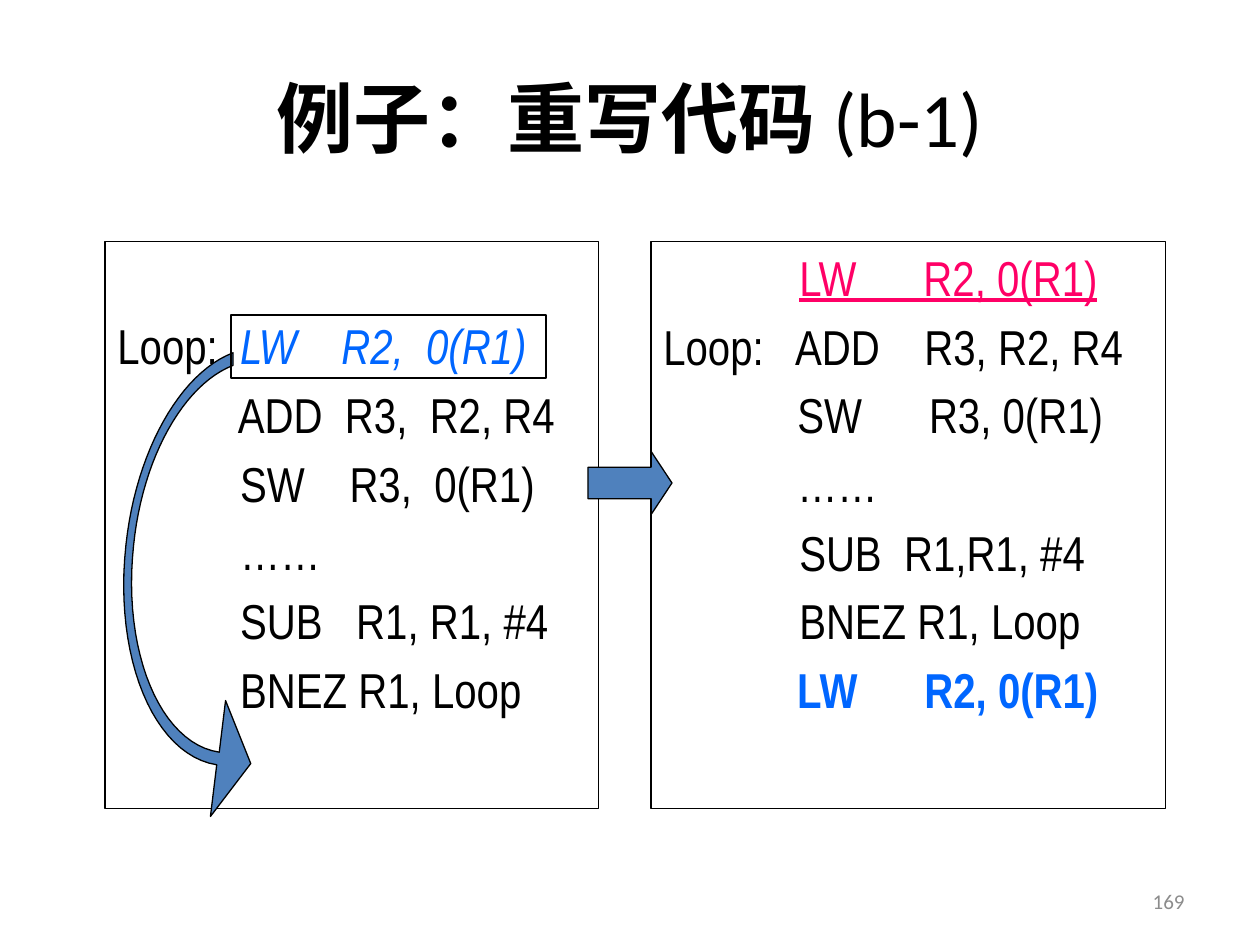
from lxml.etree import SubElement
from pptx import Presentation
from pptx.dml.color import RGBColor
from pptx.enum.shapes import MSO_SHAPE
from pptx.enum.text import MSO_ANCHOR, PP_ALIGN
from pptx.oxml.ns import qn
from pptx.util import Inches, Pt

deck = Presentation()
deck.slide_width, deck.slide_height = Inches(10), Inches(7.5)
page = deck.slides.add_slide(deck.slide_layouts[6])

# Grid of 120 columns by 90 rows
CELL = deck.slide_width / 120
BLACK, BLUE, PINK, STEEL, GREY = "000000", "0066FF", "FF0066", "4F81BD", "8C8C8C"


def color(value):
    return RGBColor.from_string(value)


def fill_text(box, lines, base, align, anchor, hanging=0):
    """Write lines of (text, format) spans over a base format."""
    frame = box.text_frame
    frame.word_wrap = True
    frame.vertical_anchor = anchor
    for row, spans in enumerate(lines):
        para = frame.paragraphs[0] if row == 0 else frame.add_paragraph()
        para.alignment = align
        para.space_before = Pt(5.6 if row else 0)
        if hanging:
            properties = para._p.get_or_add_pPr()
            properties.set("marL", str(hanging))
            properties.set("indent", str(-hanging))
        for text, changes in spans:
            span = para.add_run()
            span.text = text
            for name, value in {**base, **changes}.items():
                if name == "color":
                    span.font.color.rgb = color(value)
                else:
                    setattr(span.font, name, value)


# Title and page number
labels = [
    ((6, 3.6, 108, 15), [("例子：重写代码", {"bold": True}), (" (b-1)", {})],
     {"size": Pt(44), "color": BLACK}, PP_ALIGN.CENTER),
    ((86, 83.4, 28, 4.8), [("169", {})],
     {"size": Pt(12), "color": GREY}, PP_ALIGN.RIGHT),
]
for place, spans, base, align in labels:
    box = page.shapes.add_textbox(*(int(n * CELL) for n in place))
    fill_text(box, [spans], {"name": "Calibri", **base}, align, MSO_ANCHOR.MIDDLE)

# Rectangles and the arrow between the two code panels
shapes = {}
for name, kind, place, fill in [
    ("before", MSO_SHAPE.RECTANGLE, (10, 23, 47, 54), None),
    ("after", MSO_SHAPE.RECTANGLE, (62, 23, 49, 54), None),
    ("step", MSO_SHAPE.RIGHT_ARROW, (56, 43, 8, 6), STEEL),
    ("moved", MSO_SHAPE.RECTANGLE, (22, 30, 30, 6), None),
]:
    shapes[name] = page.shapes.add_shape(kind, *(int(n * CELL) for n in place))
    if fill:
        shapes[name].fill.solid()
        shapes[name].fill.fore_color.rgb = color(fill)
    else:
        shapes[name].fill.background()
shapes["step"].adjustments[1] = 0.33

# Code in the panels; the left one starts one line lower
wide = {"name": "Arial"}
before_code = [
    [("Loop:  ", {}), ("LW    R2,  0(R1)", {"color": BLUE, "italic": True})],
    [("           ADD  R3,  R2, R4", {})],
    [("           SW    R3,  0(R1)", {})],
    [("           ……", {})],
    [("           SUB   R1, R1, #4", {})],
    [("           BNEZ R1, Loop", {})],
]
after_code = [
    [("          ", wide), ("LW      R2, 0(R1)", {"color": PINK, "underline": True})],
    [("Loop:   ADD    R3, R2, R4", {})],
    [("            SW      R3, 0(R1)", {})],
    [("            ……", {})],
    [("          ", wide), ("SUB  R1,R1, #4", {})],
    [("          ", wide), ("BNEZ R1, Loop", {})],
    [("            ", {}), ("LW      R2, 0(R1)", {"color": BLUE, "bold": True})],
]
code_format = {"name": "Arial Narrow", "size": Pt(28), "color": BLACK}
for name, code in [("before", before_code), ("after", after_code)]:
    fill_text(shapes[name], code, code_format, PP_ALIGN.LEFT, MSO_ANCHOR.TOP, Inches(0.38))
shapes["before"].text_frame.margin_top = Inches(0.59)

# Curved arrow: each entry is one end point, or two handles and an end point
outline = [
    [(1.74, 5.97)],
    [(1.27, 5.9), (0.97, 5.17), (1.06, 4.33)],
    [(1.13, 3.63), (1.46, 3.05), (1.85, 2.9)],
    [(1.85, 2.8)],
    [(1.43, 2.96), (1.08, 3.58), (1, 4.32)],
    [(0.9, 5.22), (1.22, 5.99), (1.72, 6.07)],
    [(1.67, 6.48)], [(1.99, 6.06)], [(1.79, 5.56)],
]
STEPS = 24
points = []
for segment in outline:
    if len(segment) == 1:
        points += segment
        continue
    corners = [points[-1], *segment]
    for step in range(1, STEPS + 1):
        t = step / STEPS
        weights = ((1 - t) ** 3, 3 * t * (1 - t) ** 2, 3 * t * t * (1 - t), t ** 3)
        points.append(tuple(sum(w * corner[axis] for w, corner in zip(weights, corners))
                            for axis in (0, 1)))
points = [(Inches(x), Inches(y)) for x, y in points]
builder = page.shapes.build_freeform(*points[0])
builder.add_line_segments(points[1:], close=True)
shapes["loop"] = builder.convert_to_shape()
shapes["loop"].fill.solid()
shapes["loop"].fill.fore_color.rgb = color(STEEL)

# Thin black outlines, no shadows; the highlight frame lies on top
for shape in shapes.values():
    shape.shadow.inherit = False
    shape.line.color.rgb = color(BLACK)
    shape.line.width = Pt(0.75)
page.shapes._spTree.append(shapes["moved"]._element)

deck.save("out.pptx")
